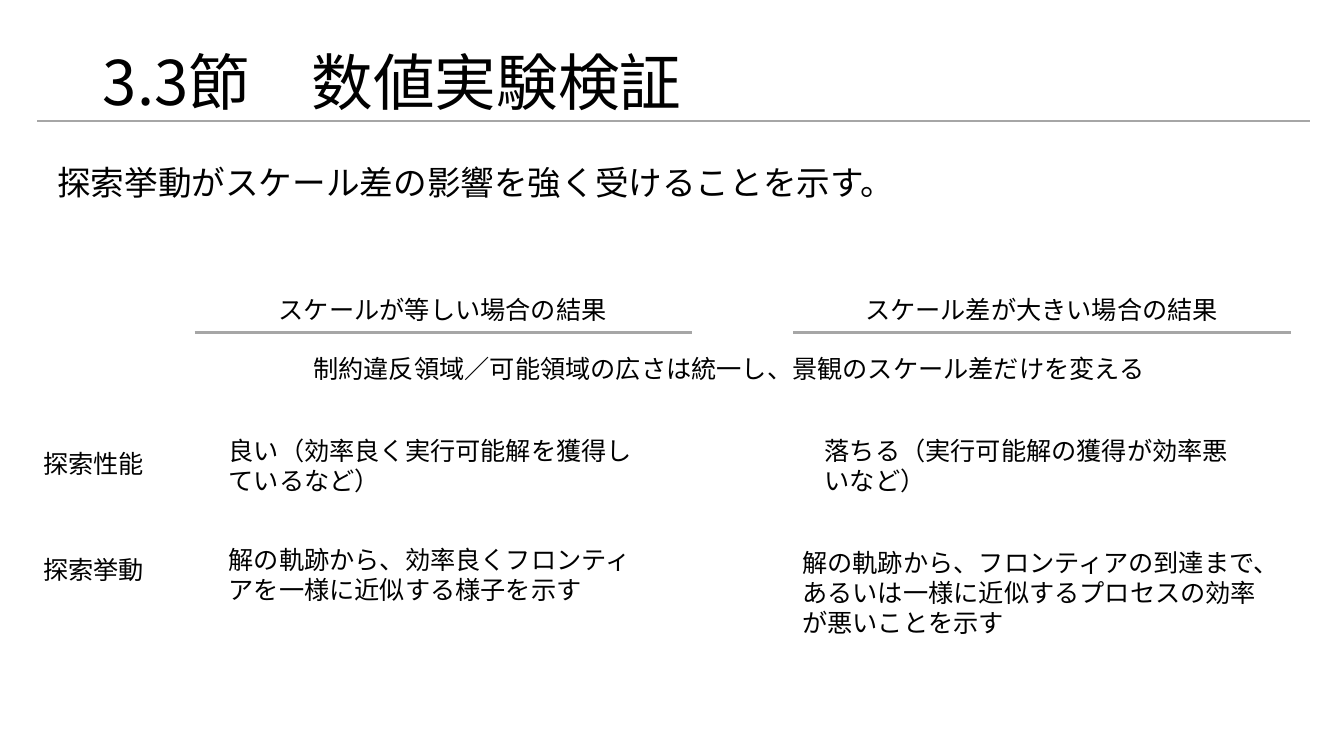
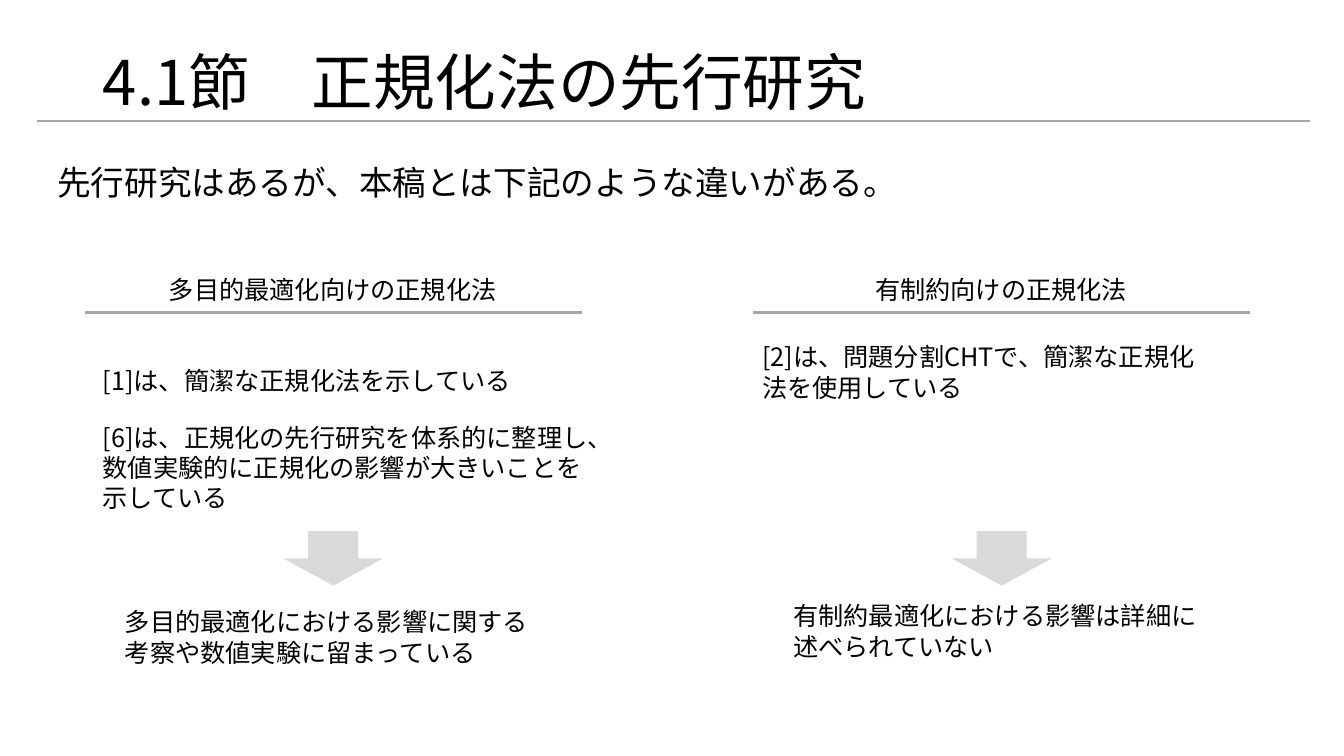
from lxml import etree
from pptx import Presentation
from pptx import util as u
from pptx.dml.color import RGBColor
from pptx.enum import shapes, text
from pptx.oxml.ns import qn

PX = 9144  # 100 px to the inch
FONT = "Noto Sans CJK JP"
COLORS = {"text": "000000", "rule": "A6A6A6", "arrow": "D9D9D9"}
LEFT, CENTER = text.PP_ALIGN.LEFT, text.PP_ALIGN.CENTER
HEADER_W, RULE_W, ROW_H = 524, 493, 46
ARROW_W, ARROW_H = 99, 54


def px(*lengths):
    return [u.Emu(length * PX) for length in lengths]


def color(name):
    return RGBColor.from_string(COLORS[name])


def write(shape, words, size, align):
    """Fill a text shape with one styled paragraph."""
    frame = shape.text_frame
    frame.word_wrap = True
    frame.vertical_anchor = text.MSO_ANCHOR.MIDDLE
    para = frame.paragraphs[0]
    para.text = words
    para.alignment = align
    font = para.font
    font.size = u.Pt(size)
    font.name = FONT
    font.color.rgb = color("text")
    # East Asian letters take their typeface from a:ea
    latin = para._p.pPr.find(qn("a:defRPr")).find(qn("a:latin"))
    east_asian = etree.Element(qn("a:ea"), typeface=FONT)
    latin.addnext(east_asian)
    return para


def add_text(page, words, left, top, width, height=ROW_H, size=18, align=LEFT):
    box = page.shapes.add_textbox(*px(left, top, width, height))
    write(box, words, size, align)


def add_rule(page, left, top, width, weight):
    rule = page.shapes.add_connector(
        shapes.MSO_CONNECTOR.STRAIGHT, *px(left, top, left + width, top))
    rule.line.color.rgb = color("rule")
    rule.line.width = u.Pt(weight)
    etree.SubElement(rule._element.spPr, qn("a:effectLst"))


def add_header(page, words, left, top):
    """Column heading with a centred rule along its lower edge."""
    add_text(page, words, left, top, HEADER_W, align=CENTER)
    inset = (HEADER_W - RULE_W + 1) // 2
    add_rule(page, left + inset, top + ROW_H, RULE_W, 2.25)


def add_arrow(page, center, top):
    arrow = page.shapes.add_shape(
        shapes.MSO_SHAPE.DOWN_ARROW,
        *px(center - ARROW_W // 2, top, ARROW_W, ARROW_H))
    arrow.shadow.inherit = False
    arrow.fill.solid()
    arrow.fill.fore_color.rgb = color("arrow")
    arrow.line.fill.background()


def add_page(deck, title, lead):
    """Page with the shared title, title rule and lead sentence."""
    page = deck.slides.add_slide(deck.slide_layouts[5])
    holder = page.shapes.title
    holder.left, holder.top, holder.width, holder.height = px(92, 40, 1150, 89)
    write(holder, title, 44, LEFT).line_spacing = 0.9
    add_rule(page, 37, 120, 1262, 1)
    add_text(page, lead, 47, 158, 1231, size=24)
    return page


def build_experiment(deck):
    page = add_page(deck, "3.3節\u3000数値実験検証".replace("\u3000", "　"),
                    "探索挙動がスケール差の影響を強く受けることを示す。")
    # Column headings and the shared condition
    add_header(page, "スケールが等しい場合の結果", 177, 284)
    add_header(page, "スケール差が大きい場合の結果", 771, 284)
    add_text(page, "制約違反領域／可能領域の広さは統一し、景観のスケール差だけを変える",
             301, 343, 860)
    # Row labels
    add_text(page, "探索性能", 0, 437, 186, align=CENTER)
    add_text(page, "探索挙動", 0, 542, 186, align=CENTER)
    # Findings
    add_text(page, "良い（効率良く実行可能解を獲得しているなど）", 217, 439, 422)
    add_text(page, "落ちる（実行可能解の獲得が効率悪いなど）", 808, 439, 422)
    add_text(page, "解の軌跡から、効率良くフロンティアを一様に近似する様子を示す",
             217, 547, 433)
    add_text(page, "解の軌跡から、フロンティアの到達まで、あるいは一様に近似する"
             "プロセスの効率が悪いことを示す", 786, 539, 473, 97)


def build_related_work(deck):
    page = add_page(deck, "4.1節　正規化法の先行研究",
                    "先行研究はあるが、本稿とは下記のような違いがある。")
    # Each column: heading, arrow, conclusion
    columns = [
        (68, "多目的最適化向けの正規化法", 609,
         "多目的最適化における影響に関する考察や数値実験に留まっている"),
        (731, "有制約向けの正規化法", 603,
         "有制約最適化における影響は詳細に述べられていない"),
    ]
    for left, heading, top, conclusion in columns:
        add_header(page, heading, left, 264)
        add_arrow(page, left + HEADER_W // 2, 527)
        add_text(page, conclusion, left + 46, top, 433)
    # Cited studies
    add_text(page, "[1]は、簡潔な正規化法を示している", 92, 354, 450)
    add_text(page, "[6]は、正規化の先行研究を体系的に整理し、数値実験的に"
             "正規化の影響が大きいことを示している", 92, 427, 505, 73)
    add_text(page, "[2]は、問題分割CHTで、簡潔な正規化法を使用している",
             746, 346, 464)


def main():
    deck = Presentation()
    deck.slide_width, deck.slide_height = px(1333, 750)
    build_experiment(deck)
    build_related_work(deck)
    deck.save("out.pptx")


if __name__ == "__main__":
    main()
